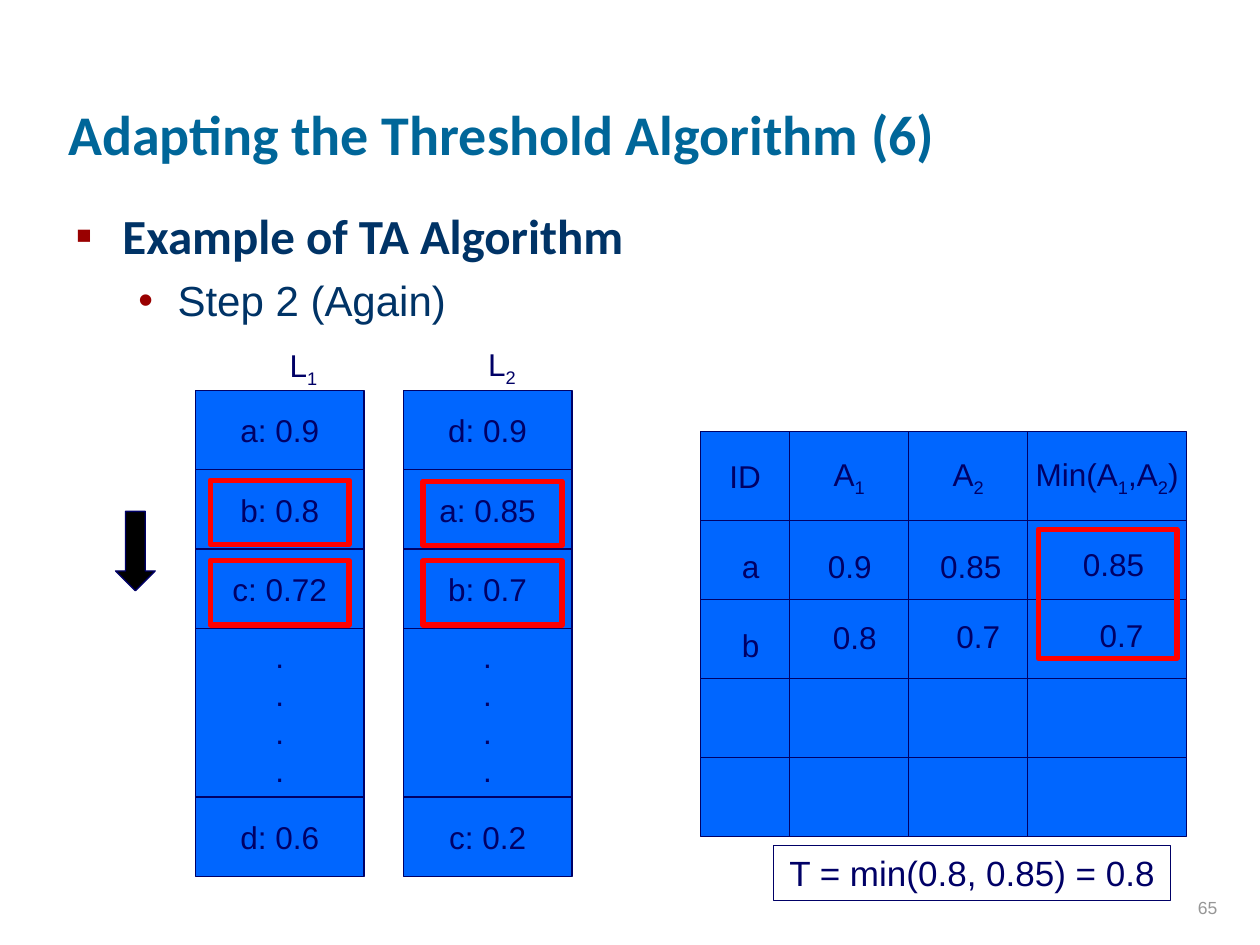
from itertools import accumulate

from lxml.etree import SubElement
from pptx import Presentation
from pptx.dml.color import RGBColor
from pptx.enum.shapes import MSO_SHAPE as Shape
from pptx.enum.text import MSO_ANCHOR as Anchor, PP_ALIGN as Align
from pptx.oxml.ns import qn
from pptx.util import Cm, Pt

# Content
TITLE = "Adapting the Threshold Algorithm (6)"
# text, bullet, size, font, bold, left margin, indent, space before
BULLETS = [
    ("Example of ΤΑ Algorithm", "▪", 28, "Calibri", True, 0.95, 0.95, 0),
    ("Step 2 (Again)", "•", 24, "Arial", False, 2.06, 0.79, 6),
]
DOTS = "\n".join("....")
LISTS = [  # left edge, entries
    (3.94, ["a: 0.9", "b: 0.8", "c: 0.72", DOTS, "d: 0.6"]),
    (8.13, ["d: 0.9", "a: 0.85", "b: 0.7", DOTS, "c: 0.2"]),
]
LIST_LABELS = [("L_1", 5.12, 6.86), ("L_2", 9.12, 6.83)]
HEADER = ["ID", "A_1", "A_2", "Min(A_1,A_2)"]
SCORES = [  # text, left, top, width
    ("a", 14.53, 10.9, 1.2), ("b", 14.53, 12.5, 1.2),
    ("0.9", 16.33, 10.9, 1.6), ("0.7", 18.92, 12.32, 1.6),
    ("0.85", 18.67, 10.9, 1.8), ("0.85", 21.55, 10.87, 1.8),
    ("0.8", 16.33, 12.34, 1.8), ("0.7", 21.71, 12.3, 1.8),
]
THRESHOLD = "T = min(0.8, 0.85) = 0.8"
HIGHLIGHTS = [  # left, top, height
    (4.24, 9.68, 1.3), (8.53, 9.7, 1.3), (8.53, 11.3, 1.3),
    (4.24, 11.3, 1.3), (20.93, 10.67, 2.6),
]
PAGE = "65"

# Layout, in cm
LIST_TOP, LIST_WIDTH, LIST_HEIGHTS = 7.87, 3.4, [1.6, 1.6, 1.6, 3.4, 1.6]
GRID_LEFT, GRID_TOP = 14.12, 8.7
GRID_WIDTHS, GRID_HEIGHTS = [1.8, 2.4, 2.4, 3.2], [1.8] + [1.59] * 4

COLORS = {
    "cell": "0066FF", "ink": "000066", "mark": "FF0000", "arrow": "000000",
    "title": "006699", "body": "003366", "bullet": "990000", "page": "969696",
}

prs = Presentation()
prs.slide_width, prs.slide_height = Cm(25.4), Cm(19.05)
slide = prs.slides.add_slide(prs.slide_layouts[5])


def rgb(name):
    return RGBColor.from_string(COLORS[name])


def box_at(left, top, width, height):
    return Cm(left), Cm(top), Cm(width), Cm(height)


def edges(start, sizes):
    return list(accumulate(sizes[:-1], initial=start))


def add_run(paragraph, text, size, color, font="Arial", bold=False, sub=False):
    run = paragraph.add_run()
    run.text = text
    run.font.size, run.font.name, run.font.bold = Pt(size), font, bold
    run.font.color.rgb = rgb(color)
    if sub:
        run._r.get_or_add_rPr().set("baseline", "-25000")


def write(frame, text, size=18, color="ink", align=Align.CENTER,
          anchor=Anchor.TOP, wrap=True):
    """Fill a frame; an underscore makes the next character a subscript."""
    frame.word_wrap, frame.vertical_anchor = wrap, anchor
    for i, line in enumerate(text.split("\n")):
        paragraph = frame.add_paragraph() if i else frame.paragraphs[0]
        paragraph.alignment = align
        first, *rest = line.split("_")
        add_run(paragraph, first, size, color)
        for part in rest:
            add_run(paragraph, part[0], size, color, sub=True)
            if part[1:]:
                add_run(paragraph, part[1:], size, color)


def add_box(place, fill=None, line="ink", weight=0.75, kind=Shape.RECTANGLE):
    box = slide.shapes.add_shape(kind, *place)
    box.shadow.inherit = False
    if fill:
        box.fill.solid()
        box.fill.fore_color.rgb = rgb(fill)
    else:
        box.fill.background()
    box.line.color.rgb = rgb(line)
    box.line.width = Pt(weight)
    return box


def add_cell(place, text=""):
    cell = add_box(place, "cell")
    if text:
        write(cell.text_frame, text, anchor=Anchor.MIDDLE, wrap=False)


def add_label(place, text, **style):
    write(slide.shapes.add_textbox(*place).text_frame, text, **style)


# Title
title = slide.shapes.title
title.left, title.top, title.width, title.height = box_at(1.12, 0.3, 22.78, 3.18)
title.text_frame.vertical_anchor = Anchor.BOTTOM
title.text_frame.paragraphs[0].alignment = Align.LEFT
add_run(title.text_frame.paragraphs[0], TITLE, 32, "title", "Calibri", True)

# Bullets
body = slide.shapes.add_textbox(*box_at(1.27, 4.01, 22.71, 12.37)).text_frame
body.word_wrap = True
for level, (text, mark, size, font, bold, margin, indent, before) in enumerate(BULLETS):
    paragraph = body.add_paragraph() if level else body.paragraphs[0]
    paragraph.level = level
    props = paragraph._p.get_or_add_pPr()
    props.set("marL", str(Cm(margin)))
    props.set("indent", str(-Cm(indent)))
    if before:
        paragraph.space_before = Pt(before)
    SubElement(SubElement(props, qn("a:buClr")), qn("a:srgbClr"), val=COLORS["bullet"])
    SubElement(props, qn("a:buFont"), typeface="Arial")
    SubElement(props, qn("a:buChar"), char=mark)
    add_run(paragraph, text, size, "body", font, bold)

# Sorted lists
for left, entries in LISTS:
    for text, top, height in zip(entries, edges(LIST_TOP, LIST_HEIGHTS), LIST_HEIGHTS):
        add_cell(box_at(left, top, LIST_WIDTH, height), text)
for text, left, top in LIST_LABELS:
    add_label(box_at(left, top, 2, 1.12), text)

# Score grid with its values laid over the cells
rows = zip(edges(GRID_TOP, GRID_HEIGHTS), GRID_HEIGHTS)
for row, (top, height) in enumerate(rows):
    for text, left, width in zip(HEADER, edges(GRID_LEFT, GRID_WIDTHS), GRID_WIDTHS):
        add_cell(box_at(left, top, width, height), "" if row else text)
for text, left, top, width in SCORES:
    add_label(box_at(left, top, width, 1.02), text)

# Threshold, highlights and scan arrow
write(add_box(box_at(15.6, 17.04, 8, 1.12)).text_frame, THRESHOLD, size=20)
for left, top, height in HIGHLIGHTS:
    add_box(box_at(left, top, 2.8, height), line="mark", weight=3)
add_box(box_at(2.33, 10.31, 0.8, 1.6), "arrow", kind=Shape.DOWN_ARROW)

# Page number
add_label(box_at(19.51, 17.37, 5.28, 1.27), PAGE, size=10, color="page",
          align=Align.RIGHT, anchor=Anchor.BOTTOM)

prs.save("out.pptx")
